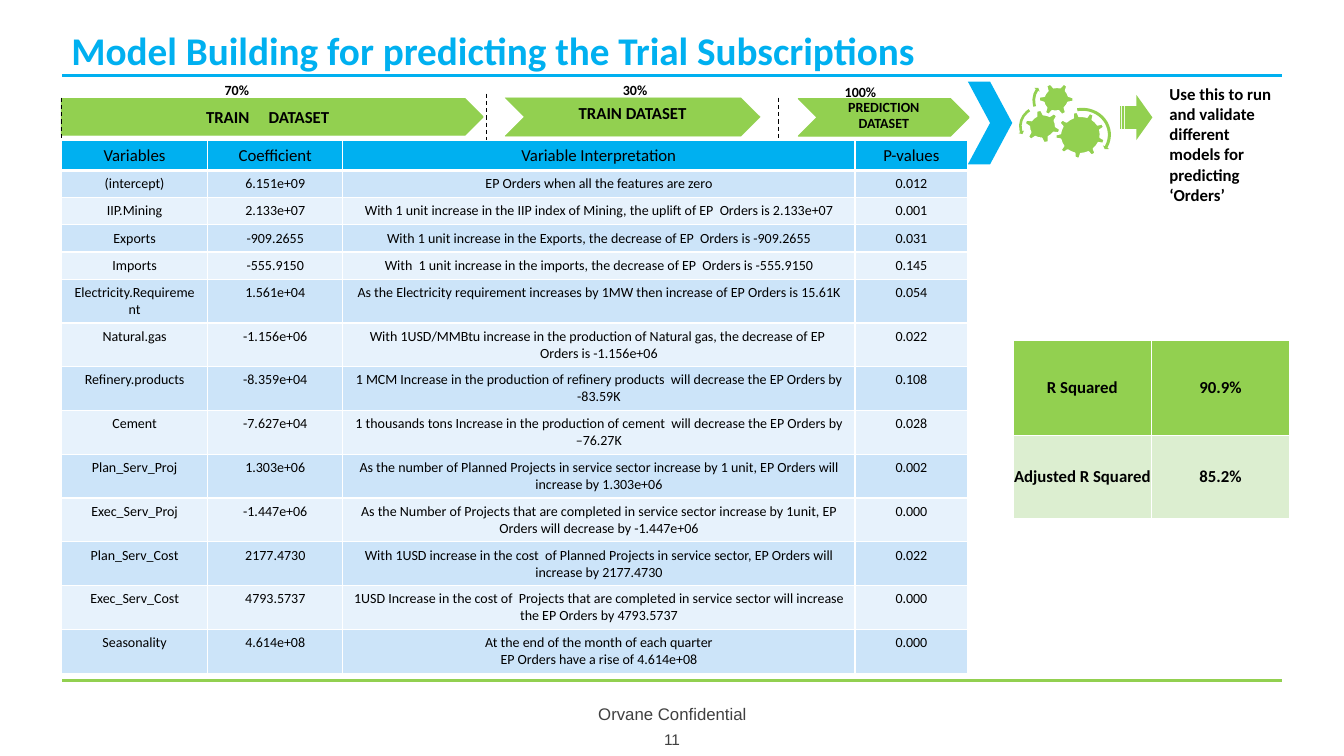
"""Build the slide on model building for predicting trial subscriptions."""
from dataclasses import dataclass
from typing import Optional

from lxml import etree
from pptx import Presentation
from pptx.dml.color import RGBColor
from pptx.enum.dml import MSO_LINE
from pptx.enum.shapes import MSO_CONNECTOR, MSO_SHAPE
from pptx.enum.text import MSO_ANCHOR, PP_ALIGN
from pptx.oxml.ns import qn
from pptx.util import Inches, Pt

STRAIGHT = MSO_CONNECTOR.STRAIGHT
DASH = MSO_LINE.DASH
PENTAGON, CHEVRON = MSO_SHAPE.PENTAGON, MSO_SHAPE.CHEVRON
GEAR_6, GEAR_9 = MSO_SHAPE.GEAR_6, MSO_SHAPE.GEAR_9
TURN_RIGHT, TURN_LEFT = MSO_SHAPE.CIRCULAR_ARROW, MSO_SHAPE.LEFT_CIRCULAR_ARROW
STRIPED_ARROW = MSO_SHAPE.STRIPED_RIGHT_ARROW
LEFT, CENTER = PP_ALIGN.LEFT, PP_ALIGN.CENTER
TOP, MIDDLE, BOTTOM = MSO_ANCHOR.TOP, MSO_ANCHOR.MIDDLE, MSO_ANCHOR.BOTTOM

COLORS = {
    "blue": "00B0F0", "green": "92D050", "black": "000000", "white": "FFFFFF",
    "gray": "404040", "band_dark": "CCE4F9", "band_light": "E7F2FC", "pale_green": "DCEED0",
}
INSETS = (0.1, 0.05, 0.1, 0.05)
NO_INSETS = (0, 0, 0, 0)


@dataclass(frozen=True)
class Figure:
    kind: int
    box: tuple
    color: str = "green"
    outline: Optional[str] = None
    outline_width: float = 1
    rotation: float = 0
    adjustments: tuple = ()
    label: str = ""
    size: float = 12
    word_gap: float = 0
    insets: tuple = INSETS


@dataclass(frozen=True)
class Caption:
    text: str
    box: tuple
    size: float
    color: str = "black"
    font: str = "Calibri"
    bold: bool = True
    align: int = LEFT
    anchor: int = TOP
    spacing: float = 1


@dataclass(frozen=True)
class Rule:
    x1: float
    y1: float
    x2: float
    y2: float
    color: str
    width: float
    dashed: bool = False


FRAME_RULES = [Rule(0.62, y, 12.72, y, color, 2.25) for y, color in ((6.75, "green"), (0.75, "blue"))]
SPLIT_RULES = [Rule(x, y, x, y + 0.58, "black", 0.75, True)
               for x, y in ((0.61, 0.97), (4.83, 0.93), (7.72, 0.97))]

CAPTIONS = [
    Caption("Orvane Confidential", (4.42, 6.93, 4.5, 0.3), 12, "gray", "Arial", False, CENTER, MIDDLE),
    Caption("11", (6.12, 7.21, 1.09, 0.25), 11, "gray", "Arial", False, CENTER, MIDDLE),
    Caption("Model Building for predicting the Trial Subscriptions", (0.61, 0.18, 11.74, 0.6), 28,
            "blue", anchor=BOTTOM, spacing=0.9),
    Caption("70%", (2.13, 0.76, 1.17, 0.25), 10),
    Caption("30%", (6.08, 0.76, 1.17, 0.25), 10),
    Caption("100%", (8.28, 0.78, 1.17, 0.25), 10),
    Caption("Use this to run and validate different models for predicting ‘Orders’",
            (11.5, 0.78, 1.22, 1.29), 12),
]

DATASETS = [
    Figure(PENTAGON, (0.61, 0.98, 4.18, 0.36), outline="green", label="TRAIN DATASET", word_gap=10.9),
    Figure(CHEVRON, (5.01, 0.97, 2.53, 0.38), outline="green", outline_width=0.25,
           label="TRAIN DATASET", insets=(0.1, 0, 0.1, 0.08)),
    Figure(CHEVRON, (7.92, 0.98, 1.69, 0.37), outline="green", label="PREDICTION DATASET", size=10,
           insets=(0.1, 0, 0.1, 0.05)),
]

GEARS = [
    Figure(CHEVRON, (9.6, 0.81, 0.44, 0.82), "blue"),
    Figure(GEAR_9, (10.47, 1.11, 0.49, 0.46), outline="white", rotation=346.8),
    Figure(GEAR_6, (10.16, 1.09, 0.36, 0.33), outline="white", rotation=346.8),
    Figure(GEAR_6, (10.3, 0.82, 0.35, 0.33), outline="white", rotation=331.8),
    Figure(TURN_RIGHT, (10.41, 1.05, 0.63, 0.59), rotation=346.8,
           adjustments=(0.05, 2.99, 22.97, 164.62, 0.06)),
    Figure(TURN_LEFT, (10.09, 1.03, 0.46, 0.43), rotation=346.8,
           adjustments=(0.06, 4.3, 104.89, 148.38, 0.07)),
    Figure(TURN_RIGHT, (10.22, 0.76, 0.49, 0.46), rotation=346.8,
           adjustments=(0.06, 3.94, 133.14, 105.08, 0.07)),
    Figure(STRIPED_ARROW, (11.11, 0.94, 0.32, 0.45)),
]

COEFFICIENTS = [
    ("Variables", "Coefficient", "Variable Interpretation", "P-values"),
    ("(intercept)", "6.151e+09", "EP Orders when all the features are zero", "0.012"),
    ("IIP.Mining", "2.133e+07",
     "With 1 unit increase in the IIP index of Mining, the uplift of EP  Orders is 2.133e+07", "0.001"),
    ("Exports", "-909.2655",
     "With 1 unit increase in the Exports, the decrease of EP  Orders is -909.2655", "0.031"),
    ("Imports", "-555.9150",
     "With  1 unit increase in the imports, the decrease of EP  Orders is -555.9150", "0.145"),
    ("Electricity.Requirement", "1.561e+04",
     "As the Electricity requirement increases by 1MW then increase of EP Orders is 15.61K", "0.054"),
    ("Natural.gas", "-1.156e+06",
     "With 1USD/MMBtu increase in the production of Natural gas, the decrease of EP  Orders is -1.156e+06",
     "0.022"),
    ("Refinery.products", "-8.359e+04",
     "1 MCM Increase in the production of refinery products  will decrease the EP Orders by -83.59K",
     "0.108"),
    ("Cement", "-7.627e+04",
     "1 thousands tons Increase in the production of cement  will decrease the EP Orders by –76.27K",
     "0.028"),
    ("Plan_Serv_Proj", "1.303e+06", "As the number of Planned Projects in service sector increase by "
     "1 unit, EP Orders will increase by 1.303e+06", "0.002"),
    ("Exec_Serv_Proj", "-1.447e+06", "As the Number of Projects that are completed in service sector "
     "increase by 1unit, EP Orders will decrease by -1.447e+06", "0.000"),
    ("Plan_Serv_Cost", "2177.4730", "With 1USD increase in the cost  of Planned Projects in service "
     "sector, EP Orders will increase by 2177.4730", "0.022"),
    ("Exec_Serv_Cost", "4793.5737", "1USD Increase in the cost of  Projects that are completed in "
     "service sector will increase the EP Orders by 4793.5737", "0.000"),
    ("Seasonality", "4.614e+08",
     "At the end of the month of each quarter\nEP Orders have a rise of 4.614e+08", "0.000"),
]
FIT = [("R Squared", "90.9%"), ("Adjusted R Squared", "85.2%")]


def rgb(color: str) -> RGBColor:
    return RGBColor.from_string(COLORS[color])


def put_text(frame, text: str, *, size: float, color: str = "black", font: str = "Calibri",
             bold: bool = False, align: int = CENTER, spacing: float = 1, word_gap: float = 0) -> None:
    for index, line in enumerate(text.split("\n")):
        paragraph = frame.add_paragraph() if index else frame.paragraphs[0]
        paragraph.alignment, paragraph.line_spacing = align, spacing
        for piece in line.partition(" ") if word_gap else (line,):
            run = paragraph.add_run()
            run.text = piece
            run.font.size, run.font.name, run.font.bold = Pt(size), font, bold
            run.font.color.rgb = rgb(color)
            if piece == " ":
                run.font.bold = bold
                run._r.get_or_add_rPr().set("spc", str(round(word_gap * 100)))


def set_insets(target, insets: tuple) -> None:
    target.margin_left, target.margin_top, target.margin_right, target.margin_bottom = map(Inches, insets)


def draw_rule(slide, rule: Rule) -> None:
    line = slide.shapes.add_connector(STRAIGHT, *map(Inches, (rule.x1, rule.y1, rule.x2, rule.y2)))
    line.line.color.rgb, line.line.width = rgb(rule.color), Pt(rule.width)
    if rule.dashed:
        line.line.dash_style = DASH
    etree.SubElement(line._element.spPr, qn("a:effectLst"))


def draw_caption(slide, caption: Caption) -> None:
    frame = slide.shapes.add_textbox(*map(Inches, caption.box)).text_frame
    frame.word_wrap, frame.vertical_anchor = True, caption.anchor
    put_text(frame, caption.text, size=caption.size, color=caption.color, font=caption.font,
             bold=caption.bold, align=caption.align, spacing=caption.spacing)


def draw_figure(slide, figure: Figure) -> None:
    shape = slide.shapes.add_shape(figure.kind, *map(Inches, figure.box))
    shape.shadow.inherit, shape.rotation = False, figure.rotation
    shape.fill.solid()
    shape.fill.fore_color.rgb = rgb(figure.color)
    if figure.outline:
        shape.line.color.rgb, shape.line.width = rgb(figure.outline), Pt(figure.outline_width)
    else:
        shape.line.fill.background()
    for index, value in enumerate(figure.adjustments):
        shape.adjustments[index] = value
    if figure.label:
        frame = shape.text_frame
        frame.word_wrap, frame.vertical_anchor = True, MIDDLE
        set_insets(frame, figure.insets)
        put_text(frame, figure.label, size=figure.size, bold=True, word_gap=figure.word_gap)


def draw_table(slide, rows: list, left: float, top: float, widths: tuple, heights: tuple, fills: tuple,
               *, body_size: float, bold: bool, anchor: int, insets: tuple) -> None:
    table = slide.shapes.add_table(len(rows), len(widths), Inches(left), Inches(top),
                                   Inches(sum(widths)), Inches(sum(heights))).table
    for column, width in zip(table.columns, widths):
        column.width = Inches(width)
    for row_index, (values, height) in enumerate(zip(rows, heights)):
        table.rows[row_index].height = Inches(height)
        for column_index, value in enumerate(values):
            cell = table.cell(row_index, column_index)
            cell.vertical_anchor = anchor
            set_insets(cell, insets)
            for side in ("lnL", "lnR", "lnT", "lnB"):
                width = 3 if (row_index, side) in ((0, "lnB"), (1, "lnT")) and not bold else 1
                border = etree.SubElement(cell._tc.get_or_add_tcPr(), qn(f"a:{side}"), w=str(Pt(width)))
                paint = etree.SubElement(border, qn("a:solidFill"))
                etree.SubElement(paint, qn("a:srgbClr"), val=COLORS["white"])
            cell.fill.solid()
            cell.fill.fore_color.rgb = rgb(fills[row_index])
            put_text(cell.text_frame, value, size=body_size if row_index else 12, bold=bold)


def main() -> None:
    deck = Presentation()
    deck.slide_width, deck.slide_height = Inches(13.33), Inches(7.5)
    slide = deck.slides.add_slide(deck.slide_layouts[6])
    for rule in FRAME_RULES:
        draw_rule(slide, rule)
    for figure in DATASETS + GEARS:
        draw_figure(slide, figure)
    for rule in SPLIT_RULES:
        draw_rule(slide, rule)
    for caption in CAPTIONS:
        draw_caption(slide, caption)
    draw_table(slide, COEFFICIENTS, 0.61, 1.39, (1.45, 1.34, 5.08, 1.12), (0.27,) * 5 + (0.43,) * 9,
               ("blue",) + ("band_dark", "band_light") * 6 + ("band_dark",),
               body_size=10, bold=False, anchor=TOP, insets=INSETS)
    draw_table(slide, FIT, 10.05, 3.38, (1.37, 1.37), (0.94, 0.83), ("green", "pale_green"),
               body_size=12, bold=True, anchor=MIDDLE, insets=NO_INSETS)
    deck.save("out.pptx")


if __name__ == "__main__":
    main()
